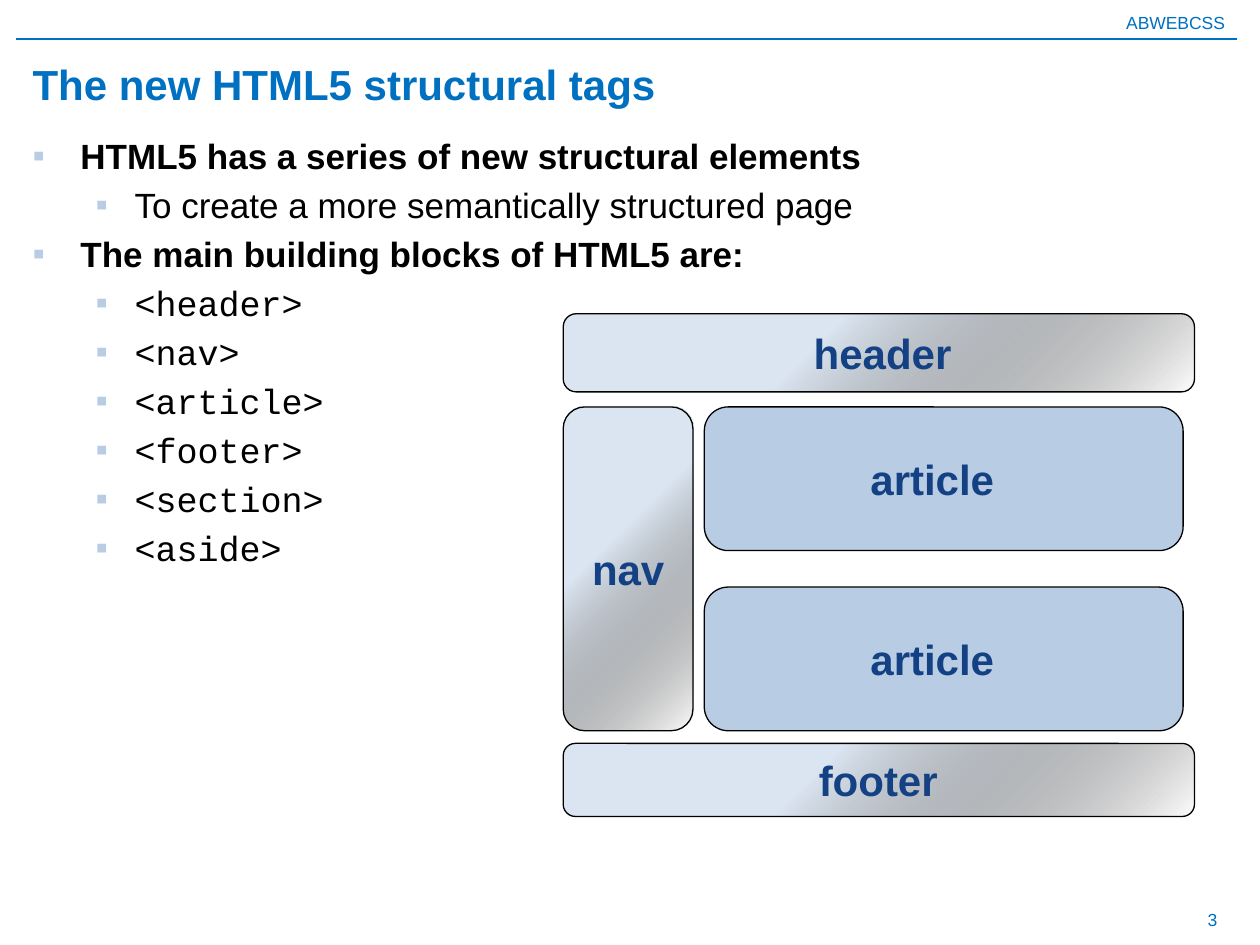
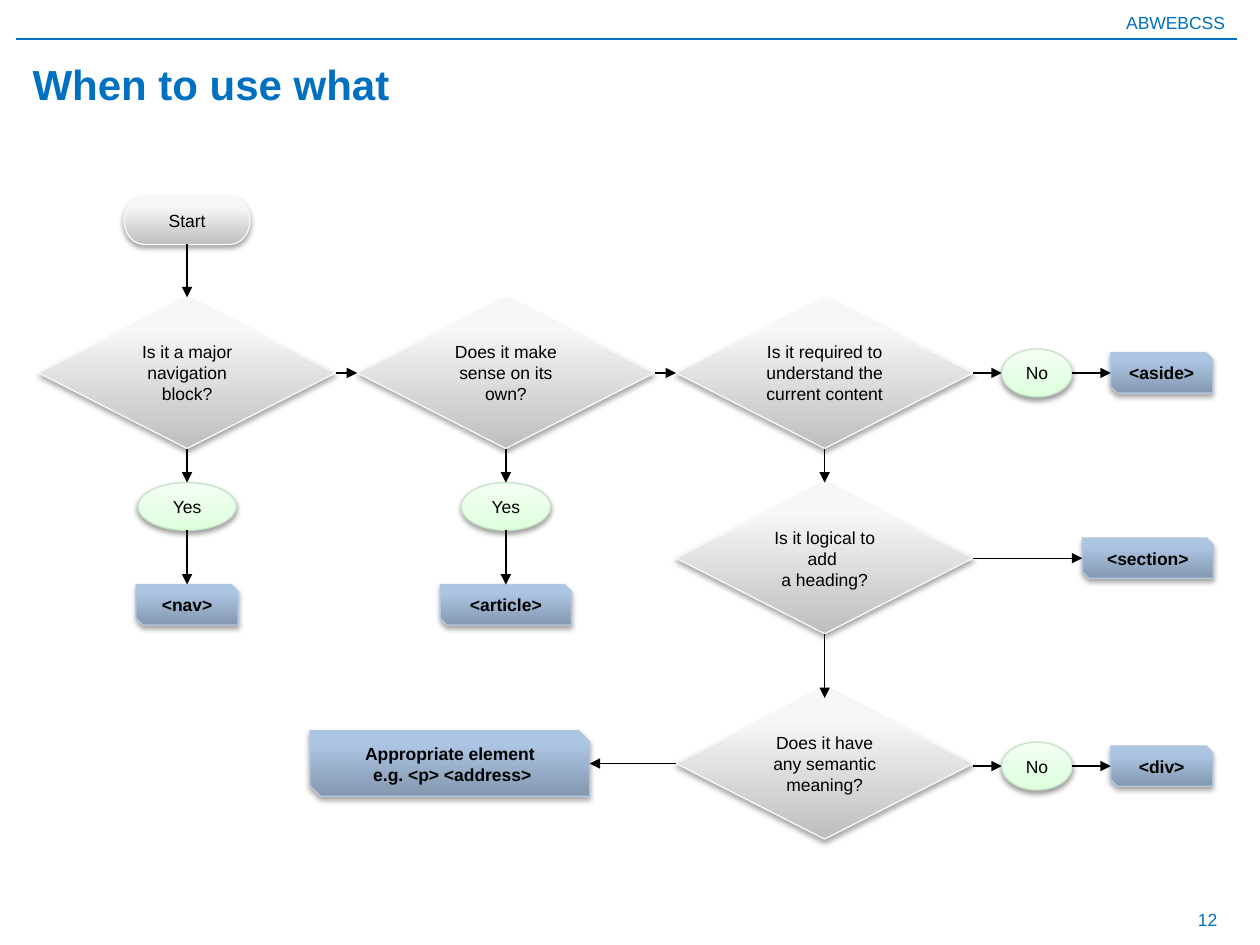
from dataclasses import dataclass
from typing import NamedTuple

from lxml.etree import SubElement
from pptx import Presentation
from pptx.dml.color import RGBColor as RGB
from pptx.enum.shapes import MSO_CONNECTOR as LINE, MSO_SHAPE as SHAPE
from pptx.enum.text import MSO_ANCHOR as ANCHOR, PP_ALIGN as ALIGN
from pptx.oxml.ns import qn
from pptx.util import Inches, Pt

WIDE, HIGH = Inches(10), Inches(7.5)
COL, ROW = WIDE / 100, HIGH / 75  # grid of 100 columns and 75 rows
BLUE, NAVY, PALE, BLACK = "0070C0", "134183", "B8CCE4", "000000"
SANS, MONO = "Arial", "Courier New"


class Stop(NamedTuple):
    """One gradient stop: place and opacity in percent."""
    place: int
    hue: str
    alpha: int = 100


class Kind(NamedTuple):
    """Look shared by one sort of flowchart node."""
    form: SHAPE
    stops: tuple
    edge: str
    shade: int = 35
    bold: bool = False
    pad: float = 0.1


@dataclass
class Node:
    """A flowchart node, placed by its centre in grid units."""
    kind: Kind
    text: str
    x: float
    y: float
    w: float
    h: float


@dataclass
class Panel:
    """A page region and the centre and width of its label."""
    name: str
    x: float
    y: float
    w: float
    h: float
    mid: float
    span: float
    glass: bool = True


class Item(NamedTuple):
    """A bullet line."""
    text: str
    level: int = 0
    font: str = SANS


def color(code: str) -> RGB:
    """Turn a hex string into a colour."""
    return RGB.from_string(code)


def area(x: float, y: float, w: float, h: float) -> tuple:
    """Turn grid units into slide lengths."""
    return int(x * COL), int(y * ROW), int(w * COL), int(h * ROW)


def style(para, size: float, hue: str, bold=False, font=SANS) -> None:
    """Format all runs of a paragraph."""
    for run in para.runs:
        run.font.size, run.font.bold, run.font.name = Pt(size), bold, font
        run.font.color.rgb = color(hue)


def label(slide, text: str, box: tuple, size: float, hue: str,
          bold=False, align=ALIGN.LEFT, wrap=True) -> None:
    """Add one line of text, centred vertically in its box."""
    frame = slide.shapes.add_textbox(*area(*box)).text_frame
    frame.word_wrap, frame.vertical_anchor = wrap, ANCHOR.MIDDLE
    frame.text = text
    frame.paragraphs[0].alignment = align
    style(frame.paragraphs[0], size, hue, bold)


def line(slide, start: tuple, end: tuple, hue=BLACK, arrow=False) -> None:
    """Draw a straight line between two grid points."""
    link = slide.shapes.add_connector(
        LINE.STRAIGHT, *area(*start, *end))
    link.line.color.rgb, link.line.width = color(hue), Pt(0.75)
    if arrow:
        SubElement(link.line._get_or_add_ln(), qn("a:tailEnd"),
                   type="triangle")
    SubElement(link._element.spPr, qn("a:effectLst"))


def shape(slide, form: SHAPE, box: tuple, edge: str):
    """Add an outlined shape without a shadow."""
    item = slide.shapes.add_shape(form, *area(*box))
    item.shadow.inherit = False
    item.line.color.rgb, item.line.width = color(edge), Pt(0.75)
    return item


def blend(item, stops: tuple, angle: int) -> None:
    """Fill a shape with a linear gradient."""
    props = item._element.spPr
    grad = SubElement(props, qn("a:gradFill"), rotWithShape="1")
    props.find(qn("a:prstGeom")).addnext(grad)
    row = SubElement(grad, qn("a:gsLst"))
    for stop in stops:
        mark = SubElement(row, qn("a:gs"), pos=str(stop.place * 1000))
        tone = SubElement(mark, qn("a:srgbClr"), val=stop.hue)
        if stop.alpha < 100:
            SubElement(tone, qn("a:alpha"), val=str(stop.alpha * 1000))
    SubElement(grad, qn("a:lin"), ang=str(angle * 60000), scaled="0")


def shade(item, alpha: int) -> None:
    """Give a shape a soft shadow straight below."""
    drop = SubElement(item._element.spPr.find(qn("a:effectLst")),
                      qn("a:outerShdw"), blurRad=str(Pt(3.1)),
                      dist=str(Pt(1.8)), dir="5400000", rotWithShape="0")
    tone = SubElement(drop, qn("a:srgbClr"), val=BLACK)
    SubElement(tone, qn("a:alpha"), val=str(alpha * 1000))


def page(deck, title: str, number: int):
    """Add a slide with the shared header, title and number."""
    slide = deck.slides.add_slide(deck.slide_layouts[6])
    label(slide, "ABWEBCSS", (0, 0.4, 98.2, 2.7), 10, BLUE,
          align=ALIGN.RIGHT)
    line(slide, (1.3, 3.1), (98.2, 3.1), BLUE)
    label(slide, str(number), (74.3, 71, 23.3, 4), 10, BLUE,
          align=ALIGN.RIGHT)
    label(slide, title, (1.6, 3.9, 96.1, 5.5), 24, BLUE, bold=True)
    return slide


def bullets(slide, items: list) -> None:
    """Write the two-level bullet list."""
    frame = slide.shapes.add_textbox(*area(1.6, 10.2, 96.1, 57)).text_frame
    frame.word_wrap = True
    for spot, item in enumerate(items):
        para = frame.add_paragraph() if spot else frame.paragraphs[0]
        para.text, para.level = item.text, item.level
        style(para, 20, BLACK, item.level == 0, item.font)
        left, hang = ((0.38, 0.38), (0.81, 0.31))[item.level]
        props = para._p.get_or_add_pPr()
        props.set("marL", str(Inches(left)))
        props.set("indent", str(-Inches(hang)))
        gap = SubElement(props, qn("a:spcBef"))
        SubElement(gap, qn("a:spcPct"), val="20000")
        tone = SubElement(props, qn("a:buClr"))
        SubElement(tone, qn("a:srgbClr"), val=PALE)
        SubElement(props, qn("a:buFont"), typeface=SANS)
        SubElement(props, qn("a:buChar"), char="▪")


def regions(slide, panels: list) -> None:
    """Draw the page regions with their labels."""
    glass = (Stop(40, "DCE6F2"), Stop(100, BLACK, 0))
    for pan in panels:
        item = shape(slide, SHAPE.ROUNDED_RECTANGLE,
                     (pan.x, pan.y, pan.w, pan.h), BLACK)
        if pan.glass:
            blend(item, glass, 45)
        else:
            item.fill.solid()
            item.fill.fore_color.rgb = color(PALE)
    for pan in panels:
        box = (pan.mid - pan.span / 2, pan.y + pan.h / 2 - 2.5, pan.span, 5)
        label(slide, pan.name, box, 24, NAVY, bold=True, wrap=False)


def draw(slide, node: Node) -> None:
    """Draw one flowchart node."""
    kind = node.kind
    item = shape(slide, kind.form, (node.x - node.w / 2,
                 node.y - node.h / 2, node.w, node.h), kind.edge)
    blend(item, kind.stops, 270)
    shade(item, kind.shade)
    frame = item.text_frame
    frame.word_wrap, frame.vertical_anchor = True, ANCHOR.MIDDLE
    frame.margin_left = frame.margin_right = Inches(kind.pad)
    para = frame.paragraphs[0]
    para.text, para.alignment = node.text, ALIGN.CENTER
    style(para, 10, BLACK, kind.bold)


def join(slide, one: Node, two: Node, dip: float = 0) -> None:
    """Point an arrow from one node to the next, across or down."""
    if abs(two.x - one.x) > abs(two.y - one.y):
        way = 1 if two.x > one.x else -1
        start = (one.x + way * one.w / 2, two.y)
        end = (two.x - way * two.w / 2, two.y)
    else:
        start = (one.x, one.y + one.h / 2)
        end = (one.x, two.y - two.h / 2 + dip)
    line(slide, start, end, arrow=True)


GREY = (Stop(0, "BEBEBE"), Stop(80, "F7F7F7"), Stop(100, "F8F8F8"))
MINT = (Stop(0, "DCFFDC"), Stop(35, "E5FFE5"), Stop(100, "F5FFF5"))
STEEL = (Stop(0, "8498AF"), Stop(80, "ACC5E3"), Stop(100, "ACC6E5"))
BEGIN = Kind(SHAPE.FLOWCHART_TERMINATOR, GREY, "F9F9F9")
ASK = Kind(SHAPE.FLOWCHART_DECISION, GREY, "F9F9F9")
REPLY = Kind(SHAPE.FLOWCHART_CONNECTOR, MINT, "C7E3C7", shade=38, pad=0)
TAG = Kind(SHAPE.SNIP_2_DIAG_RECTANGLE, STEEL, "B3C7E0", bold=True)


def ask(text: str, x: float, y: float) -> Node:
    """Make a question diamond."""
    return Node(ASK, text, x, y, 23.6, 12)


def reply(text: str, x: float, y: float, w: float) -> Node:
    """Make an answer oval."""
    return Node(REPLY, text, x, y, w, 3.8)


def tag(text: str, x: float, y: float, w: float = 8.1,
        h: float = 3.2) -> Node:
    """Make a result tag."""
    return Node(TAG, text, x, y, w, h)


def flow(slide) -> None:
    """Draw the decision flowchart."""
    one, two, three = (14.85 + 25.3 * step for step in range(3))
    top, low, yes, end = 29.6, 60.8, 40.2, 48
    start = Node(BEGIN, "Start", one, 17.5, 10, 3.8)
    major = ask("Is it a major navigation block?", one, top)
    sense = ask("Does it make sense on its own?", two, top)
    need = ask("Is it required to understand the current content", three, top)
    head = ask("Is it logical to add \va heading?", three, 44.3)
    mean = ask("Does it have any semantic meaning?", three, 60.6)
    nav = [reply("Yes", one, yes, 7.8), tag("<nav>", one, end)]
    art = [reply("Yes", two, yes, 7.1), tag("<article>", two, end, 10.4)]
    aside = [reply("No", 82.3, top, 5.6), tag("<aside>", 92.2, top)]
    div = [reply("No", 82.3, low, 5.6), tag("<div>", 92.2, low)]
    part = tag("<section>", 91.1, 44.3, 10.4)
    other = tag("Appropriate element\v e.g. <p> <address>",
                35.7, 60.6, 22.2, 5.2)
    for node in (start, major, sense, need, head, mean,
                 *nav, *art, *aside, *div, part, other):
        draw(slide, node)
    chains = ([start, major, *nav], [major, sense, *art],
              [sense, need, *aside], [need, head, part],
              [mean, *div], [mean, other])
    for chain in chains:
        for pair in zip(chain, chain[1:]):
            join(slide, *pair)
    join(slide, head, mean, dip=0.8)


def main() -> None:
    """Build and save the deck."""
    deck = Presentation()
    deck.slide_width, deck.slide_height = WIDE, HIGH
    tags = page(deck, "The new HTML5 structural tags", 3)
    names = ("header", "nav", "article", "footer", "section", "aside")
    bullets(tags, [
        Item("HTML5 has a series of new structural elements"),
        Item("To create a more semantically structured page", 1),
        Item("The main building blocks of HTML5 are:"),
        *(Item(f"<{name}>", 1, MONO) for name in names)])
    regions(tags, [
        Panel("header", 44.7, 24.9, 50.1, 6.2, 70.15, 13.1),
        Panel("footer", 44.7, 59, 50.1, 5.8, 69.8, 11.6),
        Panel("nav", 44.7, 32.3, 10.3, 25.7, 49.9, 7.8),
        *(Panel("article", 55.9, 32.3 + 14.3 * step, 38, 11.4,
                74.05, 11.9, glass=False) for step in range(2))])
    flow(page(deck, "When to use what", 12))
    deck.save("out.pptx")


main()
